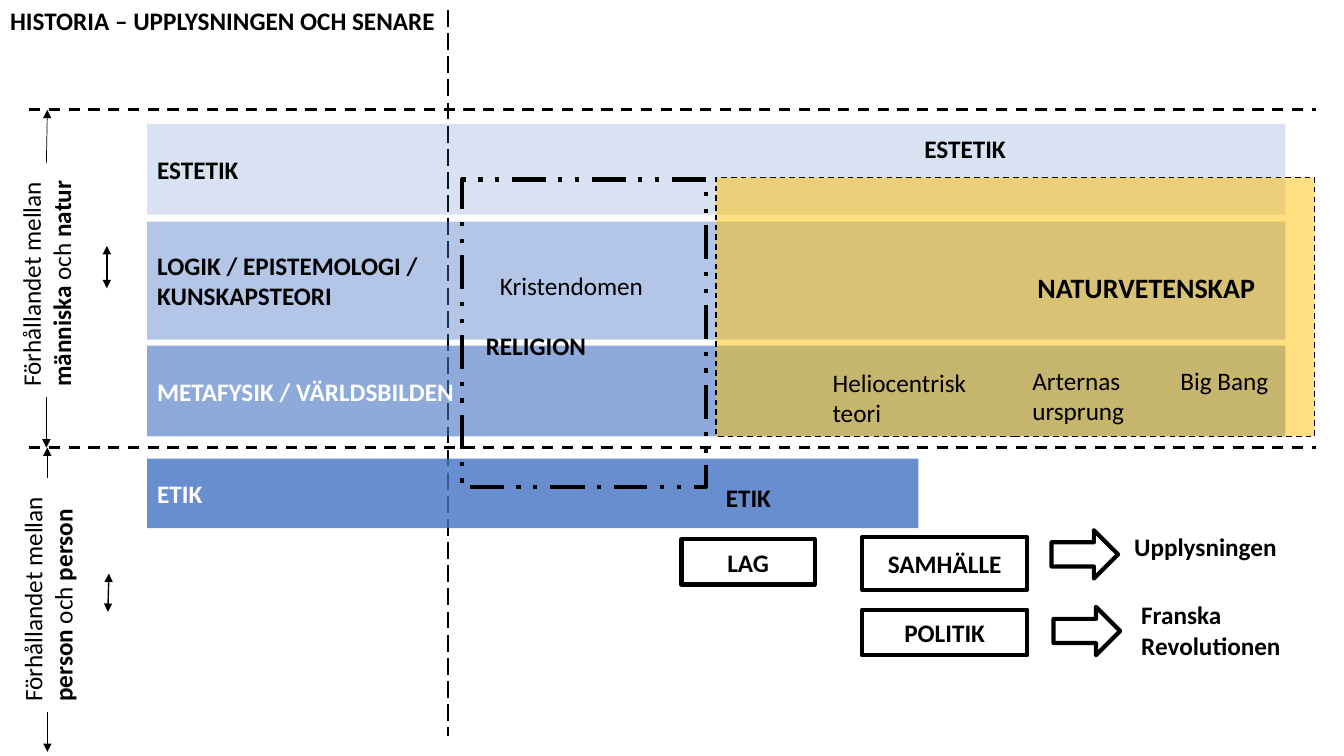
"""Build a slide mapping philosophy, religion and science from the Enlightenment onwards."""
from dataclasses import dataclass

from lxml.etree import SubElement
from pptx import Presentation
from pptx.dml.color import RGBColor
from pptx.enum.dml import MSO_LINE
from pptx.enum.shapes import MSO_CONNECTOR, MSO_SHAPE
from pptx.enum.text import MSO_ANCHOR, MSO_AUTO_SIZE, PP_ALIGN
from pptx.oxml.ns import qn
from pptx.util import Inches, Pt


@dataclass(frozen=True)
class Theme:
    font: str = "Calibri"
    body: int = 18
    large: int = 20
    black: RGBColor = RGBColor(0x00, 0x00, 0x00)
    white: RGBColor = RGBColor(0xFF, 0xFF, 0xFF)
    blue: RGBColor = RGBColor(0x44, 0x72, 0xC4)
    gold: RGBColor = RGBColor(0xFF, 0xC0, 0x00)


theme = Theme()


def write(s, text, size=theme.body, color=theme.black, bold=True,
          align=PP_ALIGN.LEFT, anchor=MSO_ANCHOR.TOP, wrap=True, fit=MSO_AUTO_SIZE.NONE):
    """Fill a shape with text; newlines split paragraphs and asterisks toggle bold."""
    tf = s.text_frame
    tf.word_wrap, tf.vertical_anchor, tf.auto_size = wrap, anchor, fit
    tf.margin_left = tf.margin_right = Inches(0.1)
    tf.margin_top = tf.margin_bottom = Inches(0.05)
    for i, line in enumerate(text.split("\n")):
        p = tf.paragraphs[0] if i == 0 else tf.add_paragraph()
        p.alignment = align
        for j, part in enumerate(line.split("*")):
            if part:
                r = p.add_run()
                r.text = part
                r.font.name, r.font.size = theme.font, Pt(size)
                r.font.bold = bold != (j % 2 == 1)
                r.font.color.rgb = color


def paint(s, color, opacity):
    """Give a shape a translucent solid fill."""
    s.fill.solid()
    s.fill.fore_color.rgb = color
    fill = s.fill._xPr.find(qn("a:solidFill"))
    SubElement(fill[0], qn("a:alpha"), val=str(opacity * 1000))


prs = Presentation()
prs.slide_width, prs.slide_height = Inches(13.33), Inches(7.5)
slide = prs.slides.add_slide(prs.slide_layouts[5])
shapes = slide.shapes

title = shapes.title
title.left, title.top, title.width, title.height = Inches(0), Inches(0), Inches(4.46), Inches(0.4)
write(title, "HISTORIA – UPPLYSNINGEN OCH SENARE", wrap=False)

top_y, middle_y = 1.09, 4.44
lines = [
    (0.29, top_y, 13.05, top_y, 2, MSO_LINE.DASH, ()),
    (0.29, middle_y, 13.05, middle_y, 2, MSO_LINE.DASH, ()),
    (4.44, 0.1, 4.44, 7.3, 1.5, MSO_LINE.LONG_DASH, ()),
    (1.06, 2.44, 1.06, 2.86, 1, None, ("headEnd", "tailEnd")),
    (1.08, 5.69, 1.07, 6.07, 1, None, ("headEnd", "tailEnd")),
    (0.46, 1.62, 0.47, top_y, 0.5, None, ("tailEnd",)),
    (0.47, 4.74, 0.47, middle_y, 0.5, None, ("tailEnd",)),
    (0.46, 3.94, 0.46, middle_y, 0.5, None, ("tailEnd",)),
    (0.47, 7.06, 0.47, 7.46, 0.5, None, ("tailEnd",)),
]
for x1, y1, x2, y2, weight, dash, ends in lines:
    c = shapes.add_connector(MSO_CONNECTOR.STRAIGHT, Inches(x1), Inches(y1), Inches(x2), Inches(y2))
    c.line.color.rgb = theme.black
    c.line.width = Pt(weight)
    if dash:
        c.line.dash_style = dash
    for end in ends:
        SubElement(c.line._get_or_add_ln(), qn(f"a:{end}"), type="triangle")
    SubElement(c._element.spPr, qn("a:effectLst"))

bars = [
    ("METAFYSIK / VÄRLDSBILDEN", 3.43, 11.29, 0.9, 60, theme.white),
    ("ETIK", 4.55, 7.65, 0.69, 80, theme.white),
    ("LOGIK / EPISTEMOLOGI /\nKUNSKAPSTEORI", 2.2, 11.29, 1.17, 40, theme.black),
    ("ESTETIK", 1.23, 11.29, 0.9, 20, theme.black),
]
for text, y, w, h, opacity, color in bars:
    s = shapes.add_shape(MSO_SHAPE.RECTANGLE, Inches(1.46), Inches(y), Inches(w), Inches(h))
    s.shadow.inherit = False
    paint(s, theme.blue, opacity)
    s.line.fill.background()
    write(s, text, color=color, anchor=MSO_ANCHOR.MIDDLE)

frames = [
    ("", MSO_SHAPE.RECTANGLE, 4.58, 1.78, 2.42, 3.05, 3, MSO_LINE.DASH_DOT_DOT, None),
    ("POLITIK", MSO_SHAPE.RECTANGLE, 8.55, 6.05, 1.64, 0.45, 3, None, None),
    ("LAG", MSO_SHAPE.RECTANGLE, 6.76, 5.35, 1.32, 0.45, 3, None, None),
    ("SAMHÄLLE", MSO_SHAPE.RECTANGLE, 8.55, 5.33, 1.64, 0.52, 3, None, None),
    ("", MSO_SHAPE.RECTANGLE, 7.1, 1.76, 5.94, 2.57, 1, MSO_LINE.DASH, theme.gold),
    ("", MSO_SHAPE.RIGHT_ARROW, 10.43, 5.26, 0.66, 0.48, 3, None, None),
    ("", MSO_SHAPE.RIGHT_ARROW, 10.45, 6.02, 0.66, 0.48, 3, None, None),
]
for text, kind, x, y, w, h, weight, dash, color in frames:
    s = shapes.add_shape(kind, Inches(x), Inches(y), Inches(w), Inches(h))
    s.shadow.inherit = False
    if color:
        paint(s, color, 50)
    else:
        s.fill.background()
    s.line.color.rgb = theme.black
    s.line.width = Pt(weight)
    if dash:
        s.line.dash_style = dash
    if text:
        write(s, text, align=PP_ALIGN.CENTER, anchor=MSO_ANCHOR.MIDDLE)

turned = {"bold": False, "rotation": 270}
labels = [
    ("Förhållandet mellan *människa* och *natur*", -0.7, 2.42, 2.32, 0.71, turned),
    ("Förhållandet mellan *person* och *person*", -0.69, 5.54, 2.33, 0.71, turned),
    ("RELIGION", 4.72, 3.23, 1.2, 0.4, {"wrap": False}),
    ("ESTETIK", 9.07, 1.27, 1.04, 0.4, {}),
    ("Kristendomen", 4.86, 2.63, 1.8, 0.4, {"bold": False}),
    ("ETIK", 7.1, 4.74, 0.65, 0.4, {"wrap": False}),
    ("NATURVETENSKAP", 10.19, 2.63, 2.38, 0.44, {"size": theme.large, "wrap": False}),
    ("Upplysningen", 11.15, 5.22, 1.86, 0.4, {}),
    ("Franska Revolutionen", 11.22, 5.9, 1.68, 0.71, {}),
    ("Heliocentrisk teori", 8.16, 3.59, 1.63, 0.71, {"bold": False}),
    ("Arternas ursprung", 10.14, 3.57, 1.31, 0.71, {"bold": False}),
    ("Big Bang", 11.61, 3.58, 1.19, 0.4, {"bold": False}),
]
for text, x, y, w, h, look in labels:
    s = shapes.add_textbox(Inches(x), Inches(y), Inches(w), Inches(h))
    s.rotation = look.get("rotation", 0)
    style = {key: value for key, value in look.items() if key != "rotation"}
    write(s, text, fit=MSO_AUTO_SIZE.SHAPE_TO_FIT_TEXT, **style)

prs.save("out.pptx")
